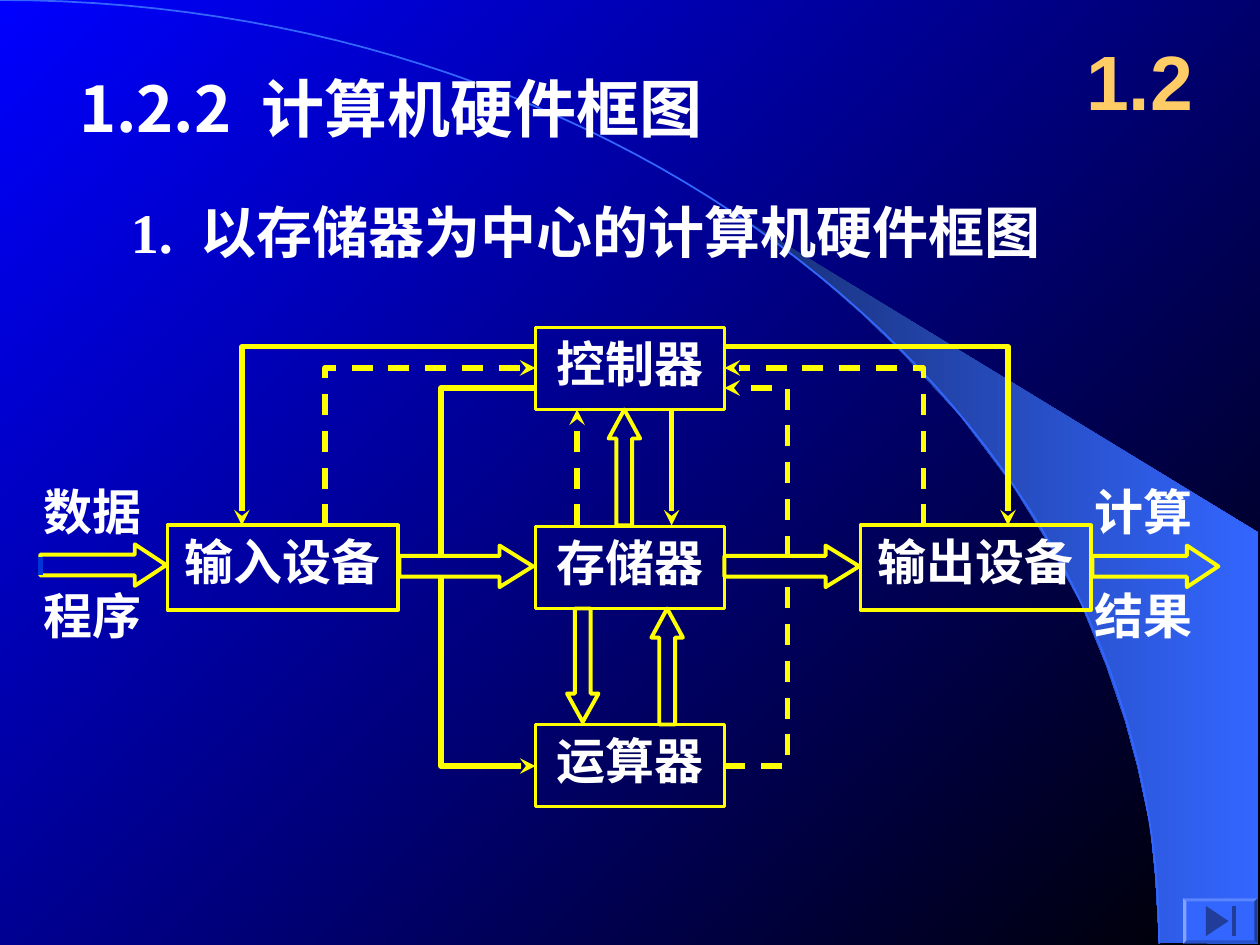
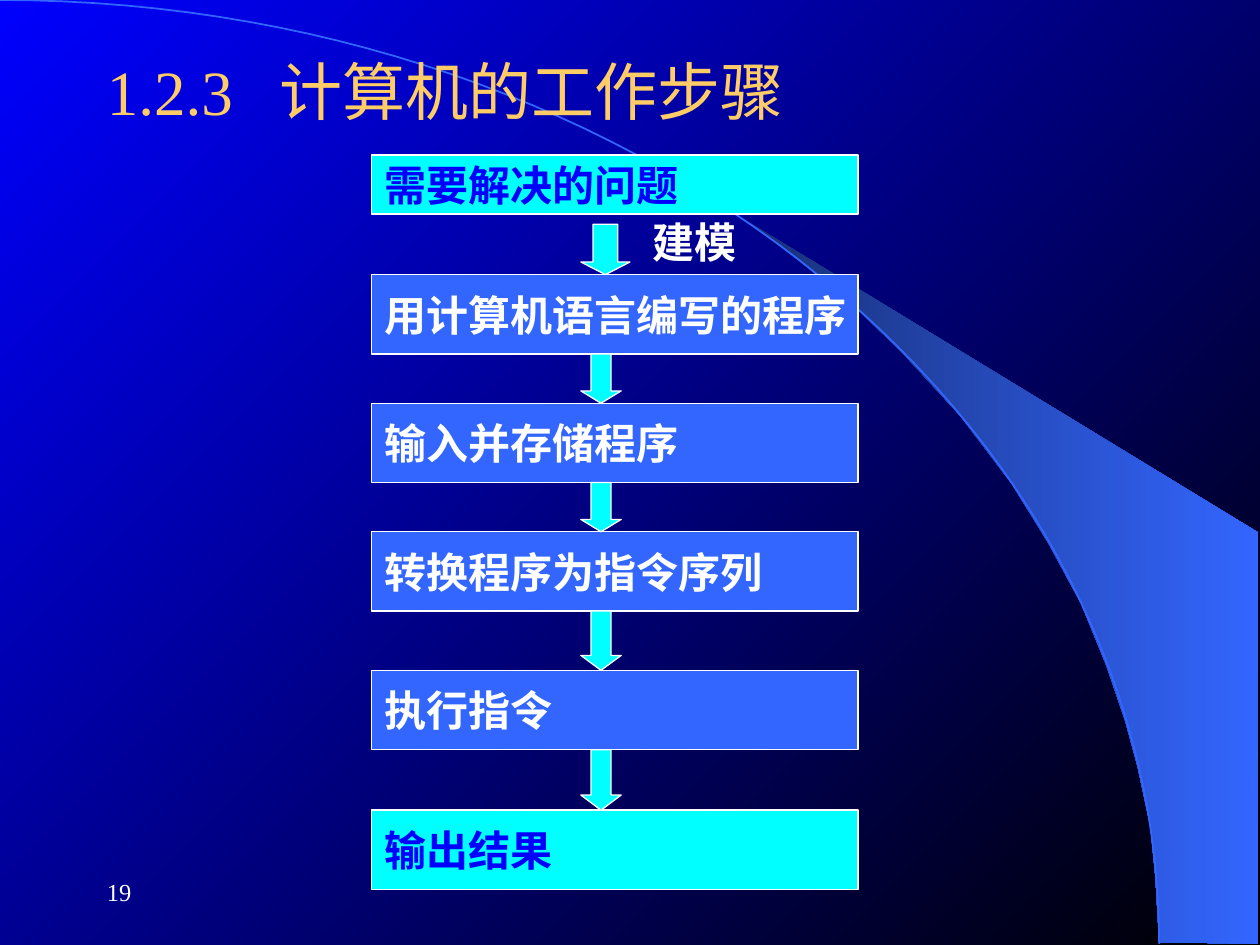
from dataclasses import dataclass

from lxml.etree import SubElement
from pptx import Presentation
from pptx.dml.color import RGBColor
from pptx.enum.dml import MSO_LINE
from pptx.enum.shapes import MSO_CONNECTOR, MSO_SHAPE as Kind
from pptx.enum.text import MSO_ANCHOR as Anchor, PP_ALIGN as Align
from pptx.oxml.ns import qn
from pptx.util import Inches, Pt


@dataclass(frozen=True)
class Theme:
    blue: str = "0000FF"
    black: str = "000000"
    navy: str = "182F76"
    azure: str = "3366FF"
    icon: str = "1F3D99"
    patch: str = "0033D8"
    cyan: str = "00FFFF"
    yellow: str = "FFFF00"
    gold: str = "FFCC66"
    white: str = "FFFFFF"
    sans: str = "Noto Sans CJK SC"
    serif: str = "Times New Roman"
    arial: str = "Arial"
    section: int = 44
    title: int = 36
    heading: int = 32
    node: int = 28
    step: int = 24
    footer: int = 14


T = Theme()

FAN = [(9.2, 7.48), (9.99, 7.49), (9.99, 4.23), (5.89, 1.73), (6.24, 1.99),
       (6.53, 2.22), (6.85, 2.5), (7.16, 2.8), (7.62, 3.3), (8.03, 3.84),
       (8.32, 4.31), (8.58, 4.79), (8.78, 5.28), (8.93, 5.72), (9.03, 6.09),
       (9.13, 6.56), (9.17, 6.96)]
ARC = [(0, 0), (5.08, 0), (9.2, 3.35), (9.2, 7.49)]

UNITS = [
    ("控制器", (4.25, 2.6, 1.5, 0.65), 2),
    ("存储器", (4.25, 4.18, 1.5, 0.65), 2),
    ("运算器", (4.25, 5.75, 1.5, 0.65), 2),
    ("输入设备", (1.33, 4.17, 1.83, 0.67), 2.25),
    ("输出设备", (6.83, 4.17, 1.83, 0.67), 2.25),
]
FLOW_LABELS = [("数据", 0.25, 3.77), ("程序", 0.25, 4.6),
               ("计算", 8.59, 3.77), ("结果", 8.59, 4.6)]
DATA_FLOWS = [
    (Kind.RIGHT_ARROW, (0.32, 4.32, 1, 0.33)),
    (Kind.RIGHT_ARROW, (3.17, 4.33, 1.06, 0.33)),
    (Kind.RIGHT_ARROW, (5.75, 4.33, 1.07, 0.33)),
    (Kind.RIGHT_ARROW, (8.67, 4.33, 1, 0.33)),
    (Kind.UP_ARROW, (4.83, 3.25, 0.25, 0.92)),
    (Kind.UP_ARROW, (5.17, 4.83, 0.25, 0.92)),
    (Kind.DOWN_ARROW, (4.5, 4.83, 0.25, 0.9)),
]
SIGNALS = [
    ([(3.5, 4.42), (3.5, 3.08), (4.25, 3.08)], False, False),
    ([(3.5, 4.58), (3.5, 6.08), (4.25, 6.08)], False, True),
    ([(5.75, 6.08), (6.25, 6.08), (6.25, 4.58)], True, False),
    ([(6.25, 4.42), (6.25, 3.08), (5.75, 3.08)], True, True),
    ([(2.58, 4.17), (2.58, 2.92), (4.25, 2.92)], True, True),
    ([(4.25, 2.75), (1.92, 2.75), (1.92, 4.17)], False, True),
    ([(7.33, 4.17), (7.33, 2.92), (5.75, 2.92)], True, True),
    ([(5.75, 2.75), (8, 2.75), (8, 4.17)], False, True),
    ([(4.58, 4.17), (4.58, 3.25)], True, True),
    ([(5.33, 3.25), (5.33, 4.17)], False, True),
]

STEPS = [
    ("需要解决的问题", 1.23, 0.47, True),
    ("用计算机语言编写的程序", 2.18, 0.63, False),
    ("输入并存储程序", 3.2, 0.63, False),
    ("转换程序为指令序列", 4.22, 0.63, False),
    ("执行指令", 5.32, 0.63, False),
    ("输出结果", 6.43, 0.63, True),
]
STEP_LEFT, STEP_WIDTH, ARROW_LEFT = 2.95, 3.86, 4.61


def inches(values):
    return [Inches(value) for value in values]


def rgb(color):
    return RGBColor.from_string(color)


def paint(shape, fill=None, line=None, weight=1):
    shape.shadow.inherit = False
    if fill:
        shape.fill.solid()
        shape.fill.fore_color.rgb = rgb(fill)
    else:
        shape.fill.background()
    if line:
        stroke(shape.line, line, weight)
    else:
        shape.line.fill.background()
    return shape


def stroke(line, color, weight, dashed=False, arrow=False):
    line.color.rgb = rgb(color)
    line.width = Pt(weight)
    if dashed:
        line.dash_style = MSO_LINE.DASH
    if arrow:
        SubElement(line._get_or_add_ln(), qn("a:tailEnd"), type="stealth")


def grade(fill, start, end, angle):
    fill.gradient()
    fill.gradient_angle = angle
    for stop, color in zip(fill.gradient_stops, (start, end)):
        stop.color.rgb = rgb(color)


def write(shape, words, size, color, font, bold=True, align=Align.LEFT,
          anchor=Anchor.TOP, wrap=True, tab=None, right_margin=0.1):
    frame = shape.text_frame
    frame.word_wrap = wrap
    frame.vertical_anchor = anchor
    frame.margin_right = Inches(right_margin)
    paragraph = frame.paragraphs[0]
    paragraph.alignment = align
    if tab:
        stops = SubElement(paragraph._p.get_or_add_pPr(), qn("a:tabLst"))
        SubElement(stops, qn("a:tab"), pos=str(Inches(tab)), algn="l")
    run = paragraph.add_run()
    run.text = words
    run.font.size = Pt(size)
    run.font.bold = bold
    run.font.color.rgb = rgb(color)
    run.font.name = font
    SubElement(run._r.get_or_add_rPr(), qn("a:ea"), typeface=T.sans)


def label(slide, words, box, size, color, font, **style):
    write(slide.shapes.add_textbox(*inches(box)), words, size, color, font, **style)


def outline(slide, points, close=False):
    start, *rest = [inches(point) for point in points]
    builder = slide.shapes.build_freeform(*start, scale=1.0)
    builder.add_line_segments(rest, close=close)
    return paint(builder.convert_to_shape())


def signal(slide, points, dashed, arrow, color=T.yellow):
    if len(points) > 2:
        stroke(outline(slide, points).line, color, 3, dashed, arrow)
        return
    start, end = points
    wire = slide.shapes.add_connector(MSO_CONNECTOR.STRAIGHT, *inches(start + end))
    stroke(wire.line, color, 3, dashed, arrow)
    SubElement(wire._element.spPr, qn("a:effectLst"))


def block_arrow(slide, kind, box, fill, line, weight):
    arrow = paint(slide.shapes.add_shape(kind, *inches(box)), fill, line, weight)
    width, height = box[2:]
    arrow.adjustments[0] = 0.5
    arrow.adjustments[1] = 0.25 * max(width, height) / min(width, height)


def curve_points(controls, count=60):
    weights = (1, 3, 3, 1)
    for n in range(count + 1):
        t = n / count
        yield tuple(sum(w * (1 - t) ** (3 - i) * t ** i * c[axis]
                        for i, (w, c) in enumerate(zip(weights, controls)))
                    for axis in (0, 1))


def new_slide(deck):
    slide = deck.slides.add_slide(deck.slide_layouts[6])
    grade(slide.background.fill, T.blue, T.black, 315)
    grade(outline(slide, FAN, close=True).fill, T.navy, T.azure, 0)
    stroke(outline(slide, curve_points(ARC)).line, T.azure, 1)
    return slide


def end_button(slide):
    face = slide.shapes.add_shape(Kind.BEVEL, *inches((9.39, 7.13, 0.59, 0.36)))
    paint(face, T.azure).adjustments[0] = 0.07
    triangle = [(9.57, 7.19), (9.75, 7.31), (9.57, 7.43)]
    bar = [(9.78, 7.19), (9.81, 7.19), (9.81, 7.43), (9.78, 7.43)]
    for mark in (triangle, bar):
        paint(outline(slide, mark, close=True), T.icon)


def hardware_slide(deck):
    slide = new_slide(deck)
    label(slide, "1.2.2\t计算机硬件框图", (0.53, 0.5, 7.05, 0.7),
          T.title, T.white, T.sans, tab=1.45)
    label(slide, "1.2", (8.42, 0.17, 1.25, 0.92), T.section, T.gold, T.arial,
          align=Align.CENTER, anchor=Anchor.MIDDLE)
    label(slide, "1.\t以存储器为中心的计算机硬件框图", (0.94, 1.52, 7.6, 0.64),
          T.heading, T.white, T.serif, tab=0.55, right_margin=0)
    for name, box, weight in UNITS:
        unit = slide.shapes.add_shape(Kind.RECTANGLE, *inches(box))
        write(paint(unit, None, T.yellow, weight), name, T.node, T.white, T.sans,
              align=Align.CENTER)
    for kind, box in DATA_FLOWS:
        block_arrow(slide, kind, box, None, T.yellow, 2.25)
    for points, dashed, arrow in SIGNALS:
        signal(slide, points, dashed, arrow)
    signal(slide, [(0.32, 4.42), (0.32, 4.56)], False, False, T.patch)
    for words, left, top in FLOW_LABELS:
        label(slide, words, (left, top, 0.97, 0.57), T.node, T.white, T.sans,
              right_margin=0)
    end_button(slide)


def steps_slide(deck):
    slide = new_slide(deck)
    label(slide, "19", (0.75, 6.83, 2.08, 0.5), T.footer, T.white, T.serif,
          bold=False, anchor=Anchor.MIDDLE)
    label(slide, "1.2.3\t计算机的工作步骤", (0.75, 0.36, 8.5, 0.71), T.title,
          T.gold, T.serif, bold=False, anchor=Anchor.MIDDLE, tab=1.37)
    label(slide, "建模", (5.08, 1.67, 1.34, 0.5), T.step, T.white, T.serif)
    for words, top, height, endpoint in STEPS:
        box = (STEP_LEFT, top, STEP_WIDTH, height)
        step = slide.shapes.add_shape(Kind.RECTANGLE, *inches(box))
        paint(step, T.cyan if endpoint else T.azure, T.white, 0.75)
        write(step, words, T.step, T.blue if endpoint else T.white, T.serif,
              anchor=Anchor.MIDDLE, wrap=False)
    for index, (step, following) in enumerate(zip(STEPS, STEPS[1:])):
        lead, width = (0.08, 0.39) if index == 0 else (0, 0.32)
        top = step[1] + step[2] + lead
        box = (ARROW_LEFT, top, width, following[1] - top)
        block_arrow(slide, Kind.DOWN_ARROW, box, T.cyan, T.white, 0.75)


def main():
    deck = Presentation()
    deck.slide_width, deck.slide_height = Inches(10), Inches(7.5)
    hardware_slide(deck)
    steps_slide(deck)
    deck.save("out.pptx")


if __name__ == "__main__":
    main()
